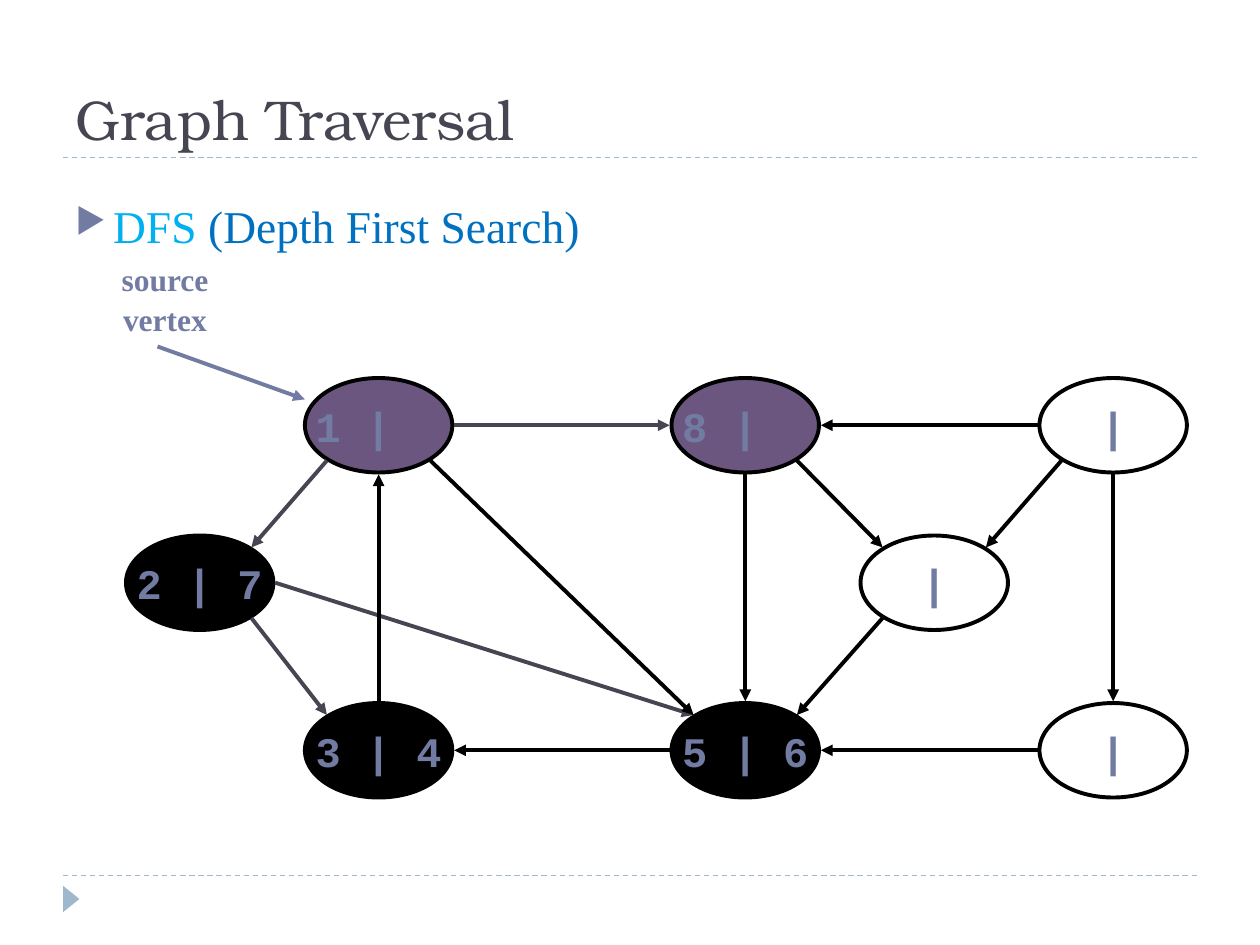
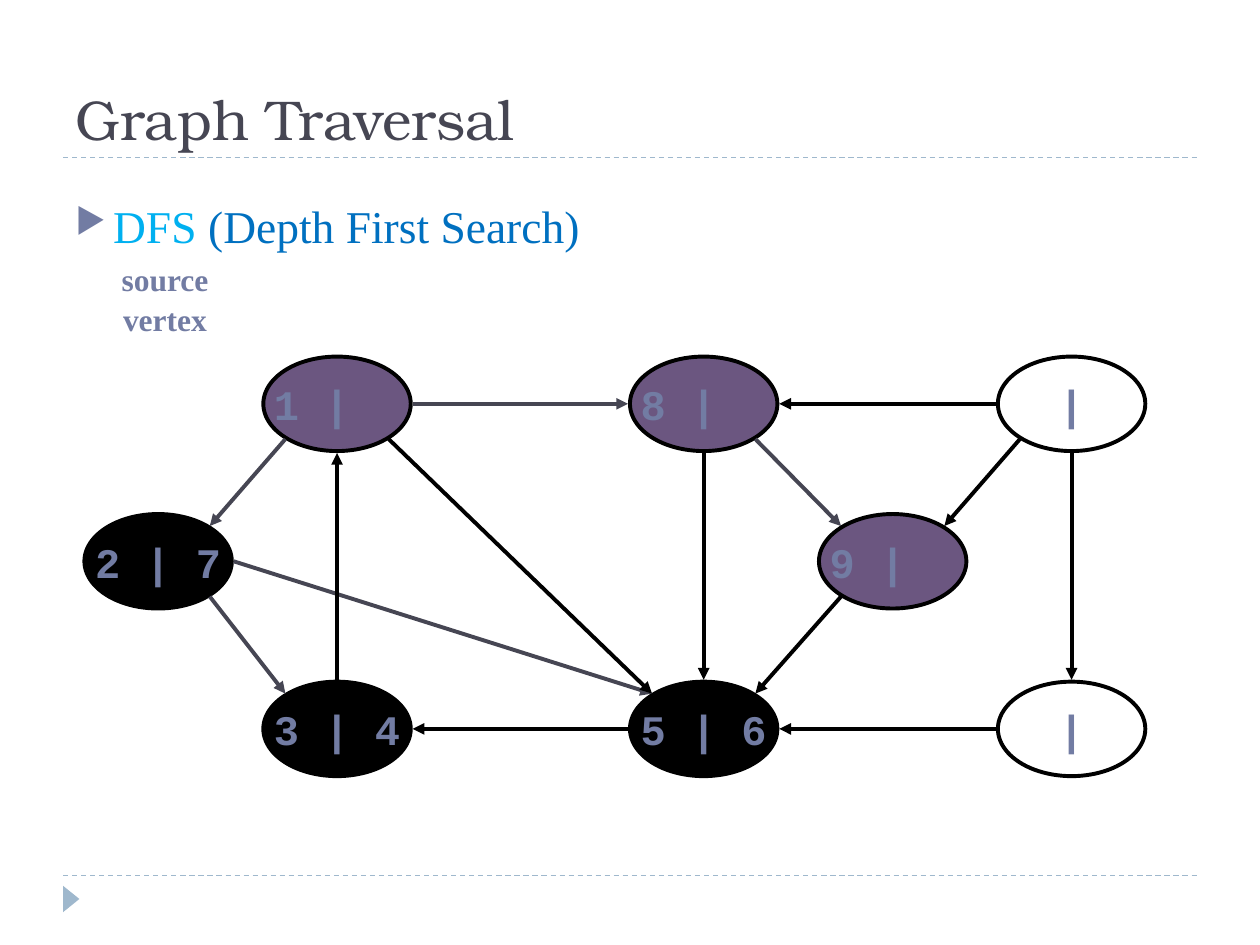
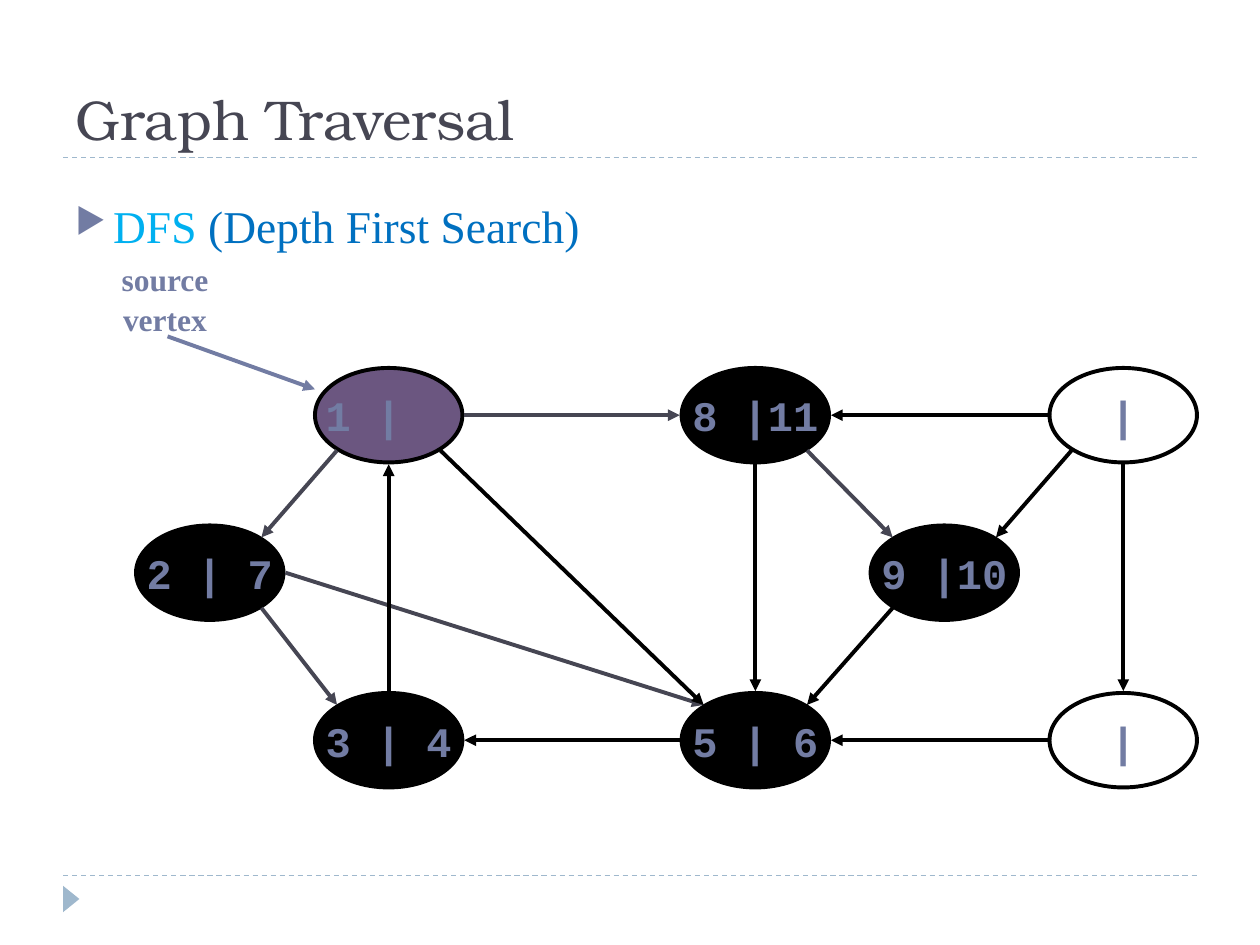
from lxml import etree
from pptx import Presentation
from pptx.dml.color import RGBColor
from pptx.enum.dml import MSO_LINE
from pptx.enum.shapes import MSO_CONNECTOR, MSO_SHAPE
from pptx.enum.text import MSO_ANCHOR, PP_ALIGN
from pptx.oxml.ns import qn
from pptx.util import Inches, Pt

LINE = MSO_CONNECTOR.STRAIGHT
OVAL = MSO_SHAPE.OVAL
WEDGE = MSO_SHAPE.ISOSCELES_TRIANGLE
DASH = MSO_LINE.DASH
TOP, MIDDLE, BOTTOM = MSO_ANCHOR.TOP, MSO_ANCHOR.MIDDLE, MSO_ANCHOR.BOTTOM
LEFT, CENTER = PP_ALIGN.LEFT, PP_ALIGN.CENTER

COLORS = {
    "title": "464653", "accent": "727CA3", "rule": "9FB8CD",
    "cyan": "00B0F0", "blue": "0070C0", "open": "6B5680", "black": "000000",
}
SERIF, HEAD, MONO = "Times New Roman", "TeX Gyre Bonum", "Courier New"

NODE_W, NODE_H, CHAR_W = 1.17, 0.75, 0.2
COLS = (1.42, 4.33, 7.25)
ROWS = (0, 1.25, 2.58)
NODES = {
    "a": (COLS[0], ROWS[0]), "b": (COLS[1], ROWS[0]), "c": (COLS[2], ROWS[0]),
    "h": (COLS[2], ROWS[2]), "g": (COLS[1], ROWS[2]), "f": (COLS[0], ROWS[2]),
    "d": (0, ROWS[1]), "e": (5.83, ROWS[1]),
}
SIDES = {
    "n": (0, -0.39), "s": (0, 0.39), "w": (-0.6, 0), "e": (0.6, 0),
    "nw": (-0.41, -0.28), "ne": (0.41, -0.28),
    "sw": (-0.41, 0.28), "se": (0.41, 0.28),
}
EDGES = (
    ("a", "sw", "d", "ne"), ("d", "se", "f", "nw"), ("d", "e", "g", "nw"),
    ("g", "w", "f", "e"), ("f", "n", "a", "s"), ("a", "se", "g", "nw"),
    ("b", "s", "g", "n"), ("a", "e", "b", "w"), ("c", "w", "b", "e"),
    ("b", "se", "e", "nw"), ("c", "sw", "e", "ne"), ("c", "s", "h", "n"),
    ("h", "w", "g", "e"), ("e", "sw", "g", "ne"),
)
TREE = {"ad", "df", "dg", "ab", "be"}

START = {"a": "1 |", "b": "8 |", "c": "|", "d": "2 | 7",
         "e": "|", "f": "3 | 4", "g": "5 | 6", "h": "|"}
STEPS = (
    ((1, 3), START, True),
    ((0.67, 2.83), START | {"e": "9 |"}, False),
    ((1.08, 2.92), START | {"b": "8 |11", "e": "9 |10"}, True),
)


def tint(name):
    """Return the named colour."""
    return RGBColor.from_string(COLORS[name])


class Deck:
    """Holds the style and the current slide."""

    def __init__(self):
        """Open an empty deck of 10 by 7.5 inches."""
        self.prs = Presentation()
        self.prs.slide_width, self.prs.slide_height = Inches(10), Inches(7.5)
        self.slide = None

    def run(self, para, text, size, color, font=SERIF, bold=False):
        """Add one styled run."""
        run = para.add_run()
        run.text = text
        run.font.size, run.font.name, run.font.bold = Pt(size), font, bold
        run.font.color.rgb = tint(color)

    def box(self, x, y, w, h, anchor=TOP, align=LEFT, wrap=True):
        """Add a text box and return its frame and first paragraph."""
        frame = self.slide.shapes.add_textbox(
            Inches(x), Inches(y), Inches(w), Inches(h)).text_frame
        frame.word_wrap, frame.vertical_anchor = wrap, anchor
        para = frame.paragraphs[0]
        para.alignment = align
        return frame, para

    def shape(self, kind, x, y, w, h, fill=None):
        """Add a flat preset shape."""
        shape = self.slide.shapes.add_shape(
            kind, Inches(x), Inches(y), Inches(w), Inches(h))
        shape.shadow.inherit = False
        if fill:
            shape.fill.solid()
            shape.fill.fore_color.rgb = tint(fill)
        else:
            shape.fill.background()
        return shape

    def line(self, start, end, color, width):
        """Add a straight line."""
        line = self.slide.shapes.add_connector(
            LINE, *(Inches(v) for v in (*start, *end)))
        line.line.color.rgb, line.line.width = tint(color), Pt(width)
        etree.SubElement(line._element.spPr, qn("a:effectLst"))
        return line

    def arrow(self, start, end, color):
        """Add a line with a head at its end."""
        line = self.line(start, end, color, 2.25)
        tail = etree.SubElement(line.line._get_or_add_ln(), qn("a:tailEnd"))
        tail.set("type", "triangle")

    def bullet(self, para):
        """Give a paragraph the wedge bullet."""
        props = para._p.get_or_add_pPr()
        props.set("marL", str(Inches(0.3)))
        props.set("indent", str(-Inches(0.3)))
        color = etree.SubElement(props, qn("a:buClr"))
        etree.SubElement(color, qn("a:srgbClr")).set("val", COLORS["accent"])
        etree.SubElement(props, qn("a:buSzPct")).set("val", "76000")
        etree.SubElement(props, qn("a:buChar")).set("char", "▶")

    def page(self):
        """Start a slide with rules, marker, title and heading."""
        self.slide = self.prs.slides.add_slide(self.prs.slide_layouts[6])
        for y in (6.95, 1.25):
            self.line((0.5, y), (9.5, y), "rule", 0.75).line.dash_style = DASH
        mark = self.shape(WEDGE, 0.46, 7.07, 0.21, 0.13, "rule")
        mark.rotation = 90
        mark.line.fill.background()
        _, para = self.box(0.5, 0.17, 9, 1.08, BOTTOM)
        self.run(para, "Graph Traversal", 32, "title", HEAD)
        frame, para = self.box(0.5, 0.92, 9, 5.82)
        frame.margin_top = Inches(0.65)
        self.bullet(para)
        self.run(para, "DFS ", 26, "cyan")
        self.run(para, "(Depth First Search)", 26, "blue")
        _, para = self.box(0.83, 2, 0.96, 0.77, TOP, CENTER, False)
        para.line_spacing = 1.05
        self.run(para, "source", 18, "accent", bold=True)
        para.add_line_break()
        self.run(para, "vertex", 18, "accent", bold=True)

    def node(self, x, y, label):
        """Add a vertex, filled by its state."""
        opened = label.endswith("|") and label != "|"
        fill = "open" if opened else None if label == "|" else "black"
        oval = self.shape(OVAL, x, y, NODE_W, NODE_H, fill)
        oval.line.color.rgb, oval.line.width = tint("black"), Pt(2.25)
        frame = oval.text_frame
        frame.word_wrap, frame.vertical_anchor = False, MIDDLE
        frame.margin_left = 0
        frame.margin_right = Inches(2 * CHAR_W if opened else 0)
        para = frame.paragraphs[0]
        para.alignment = CENTER
        self.run(para, label, 24, "accent", MONO, True)

    def graph(self, left, top, labels, source):
        """Draw all vertices and edges of one step."""
        def port(name, side):
            """Return where an edge meets a vertex."""
            (x, y), (dx, dy) = NODES[name], SIDES[side]
            return left + x + NODE_W / 2 + dx, top + y + NODE_H / 2 + dy

        for name, (x, y) in NODES.items():
            self.node(left + x, top + y, labels[name])
        for tail, out, head, into in EDGES:
            found = tail + head in TREE and labels[head] != "|"
            self.arrow(port(tail, out), port(head, into),
                       "title" if found else "black")
        if source:
            self.arrow((left + 0.25, top - 0.25),
                       (left + COLS[0], top + 0.17), "accent")


def main():
    """Build the deck."""
    deck = Deck()
    for (left, top), labels, source in STEPS:
        deck.page()
        deck.graph(left, top, labels, source)
    deck.prs.save("out.pptx")


if __name__ == "__main__":
    main()
